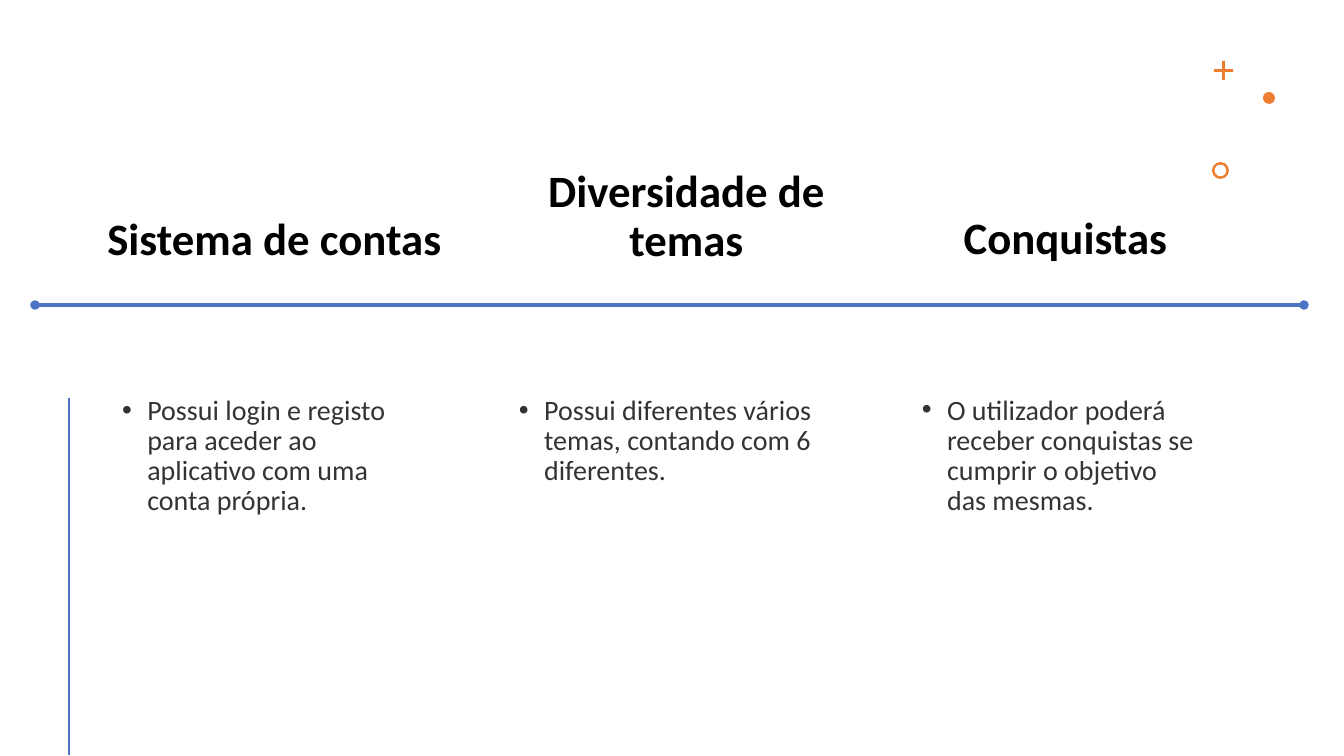
import lxml.etree
import pptx
import pptx.dml.color
import pptx.enum.shapes
import pptx.enum.text
import pptx.oxml.ns
import pptx.util

COLOURS = {"text": "000000", "orange": "ED7D31", "blue": "4D73C4"}
FONT = "Calibri"
PX_PER_INCH = 100.8

COLUMNS = [
    ("Sistema de contas", (82, 166, 385, 104),
     "Possui login e registo para aceder ao aplicativo com uma conta própria.",
     (112, 391, 300, 224)),
    ("Diversidade de temas", (483, 167, 407, 104),
     "Possui diferentes vários temas, contando com 6 diferentes.",
     (509, 391, 341, 198)),
    ("Conquistas", (869, 165, 393, 104),
     "O utilizador poderá receber conquistas se cumprir o objetivo das mesmas.",
     (912, 391, 300, 224)),
]


def px(length):
    return pptx.util.Emu(round(length * 914400 / PX_PER_INCH))


def colour(name):
    return pptx.dml.color.RGBColor.from_string(COLOURS[name])


def add_element(parent, tag, **attributes):
    return lxml.etree.SubElement(parent, pptx.oxml.ns.qn(tag), attributes)


def place(box, bounds):
    box.left, box.top, box.width, box.height = map(px, bounds)


def write_text(box, bounds, text, size, anchor):
    place(box, bounds)
    frame = box.text_frame
    frame.text = text
    frame.word_wrap = True
    frame.auto_size = pptx.enum.text.MSO_AUTO_SIZE.NONE
    frame.vertical_anchor = anchor
    para = frame.paragraphs[0]
    para.line_spacing = 0.9
    para.space_before = pptx.util.Pt(0)
    span = para.runs[0]
    span.font.name = FONT
    span.font.size = pptx.util.Pt(size)
    span.font.color.rgb = colour("text")
    return para, span


def write_heading(box, bounds, text):
    para, span = write_text(box, bounds, text, 32, pptx.enum.text.MSO_ANCHOR.BOTTOM)
    para.alignment = pptx.enum.text.PP_ALIGN.CENTER
    span.font.bold = True


def write_bullet(box, bounds, text):
    para, span = write_text(box, bounds, text, 20, pptx.enum.text.MSO_ANCHOR.TOP)
    properties = para._p.get_or_add_pPr()
    indent = pptx.util.Inches(0.25)
    properties.set("marL", str(indent))
    properties.set("indent", str(-indent))
    add_element(properties, "a:buFont", typeface="Arial")
    add_element(properties, "a:buChar", char="•")
    fill = span._r.rPr.find(pptx.oxml.ns.qn("a:solidFill"))
    add_element(fill[0], "a:alpha", val="80000")


def add_rule(page, start, end, width, dotted_ends=False):
    rule = page.shapes.add_connector(
        pptx.enum.shapes.MSO_CONNECTOR.STRAIGHT, *map(px, start + end))
    rule.line.color.rgb = colour("blue")
    rule.line.width = pptx.util.Pt(width)
    properties = rule._element.spPr
    if dotted_ends:
        outline = properties.find(pptx.oxml.ns.qn("a:ln"))
        for tag in ("a:headEnd", "a:tailEnd"):
            add_element(outline, tag, type="oval")
    add_element(properties, "a:effectLst")


def add_ornament(page, kind, left, top, size, adjustment=None):
    ornament = page.shapes.add_shape(kind, *map(px, (left, top, size, size)))
    if adjustment is not None:
        ornament.adjustments[0] = adjustment
    ornament.shadow.inherit = False
    ornament.fill.solid()
    ornament.fill.fore_color.rgb = colour("orange")
    ornament.line.fill.background()


def main():
    deck = pptx.Presentation()
    deck.slide_width, deck.slide_height = px(1344), px(756)
    page = deck.slides.add_slide(deck.slide_layouts[1])

    kinds = pptx.enum.shapes.MSO_SHAPE
    add_ornament(page, kinds.CROSS, 1214, 61, 19, 0.43)
    add_ornament(page, kinds.OVAL, 1263, 92, 12)
    add_ornament(page, kinds.DONUT, 1212, 162, 17, 0.15)
    add_rule(page, (69, 398), (69, 755), 2)

    for index, (heading, heading_bounds, bullet, bullet_bounds) in enumerate(COLUMNS):
        if index == 0:
            heading_box, bullet_box = page.shapes.title, page.placeholders[1]
        else:
            heading_box, bullet_box = (
                page.shapes.add_textbox(0, 0, 0, 0) for _ in range(2))
        write_heading(heading_box, heading_bounds, heading)
        write_bullet(bullet_box, bullet_bounds, bullet)

    add_rule(page, (35, 305), (1304, 305), 2.25, dotted_ends=True)
    deck.save("out.pptx")


if __name__ == "__main__":
    main()
